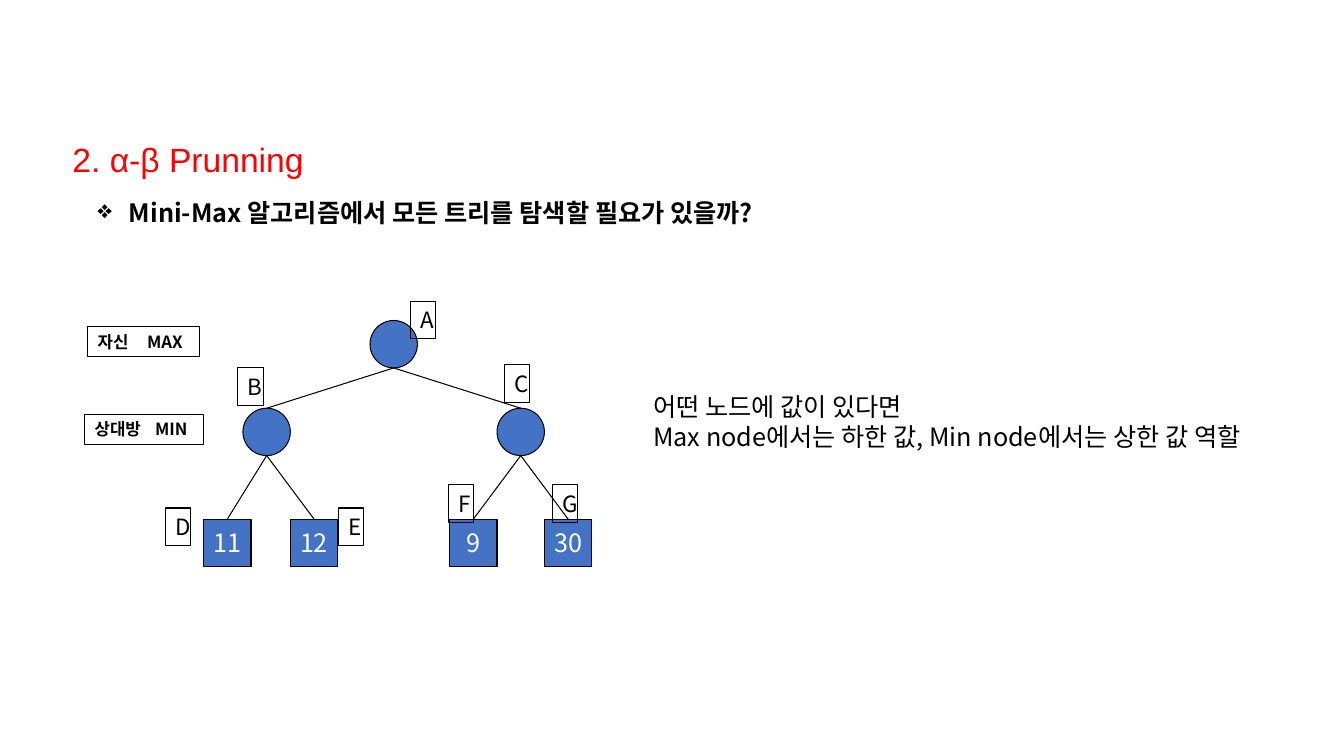
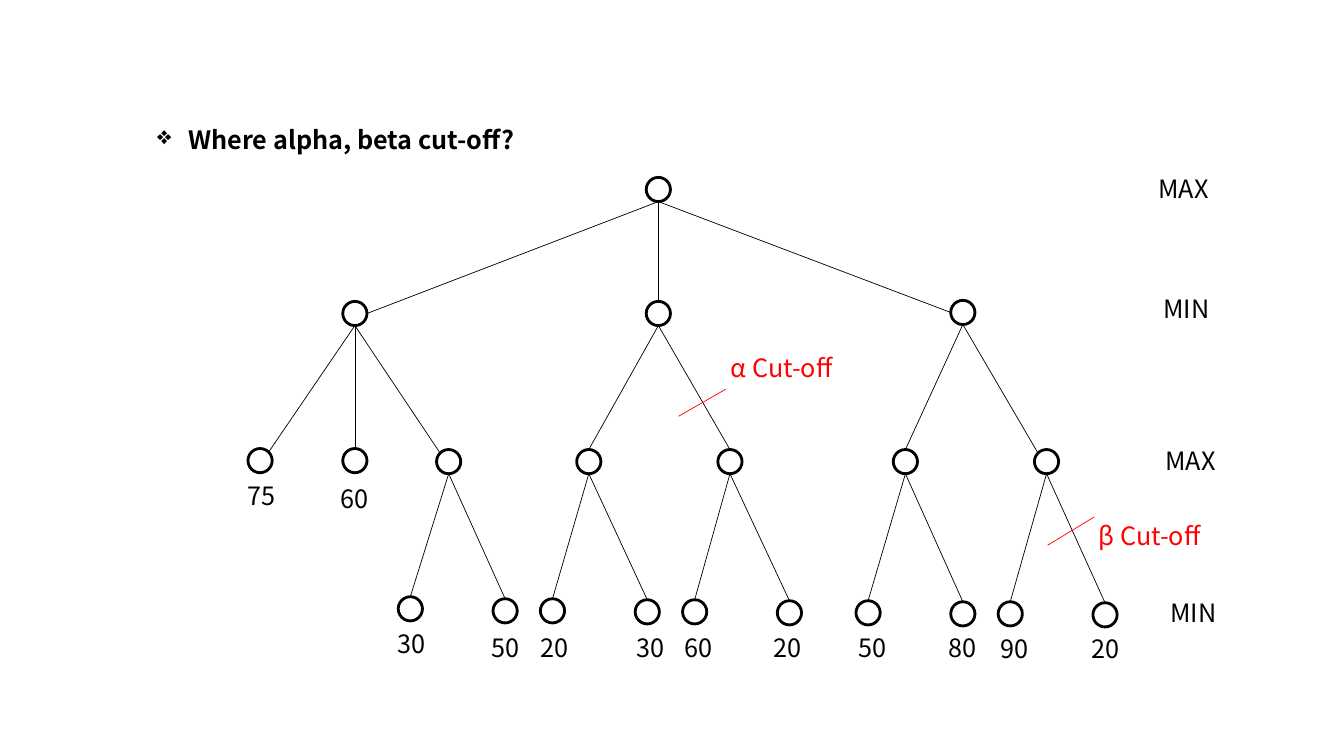
from dataclasses import dataclass

from lxml import etree
from pptx import Presentation
from pptx.dml.color import RGBColor
from pptx.enum.shapes import MSO_CONNECTOR, MSO_SHAPE
from pptx.enum.text import MSO_ANCHOR, MSO_AUTO_SIZE, PP_ALIGN
from pptx.oxml.ns import qn
from pptx.util import Inches, Pt

ELLIPSE, RECTANGLE = MSO_SHAPE.OVAL, MSO_SHAPE.RECTANGLE
STRAIGHT = MSO_CONNECTOR.STRAIGHT
LEFT, CENTER = PP_ALIGN.LEFT, PP_ALIGN.CENTER
TOP, MIDDLE = MSO_ANCHOR.TOP, MSO_ANCHOR.MIDDLE
GROW, FIXED = MSO_AUTO_SIZE.SHAPE_TO_FIT_TEXT, MSO_AUTO_SIZE.NONE

BODY_FONT, TITLE_FONT = "Noto Sans CJK KR", "Arial"
BLACK, WHITE, RED, BLUE = "000000", "FFFFFF", "FF0000", "4472C4"

GAME_NODE, SEARCH_NODE = 0.47, 0.24
LETTER_BOX = (0.25, 0.37)
TEXT_HEIGHT = 0.4

# Where an edge meets a node, as shares of the node's size
ENTRY = {"top": (0.5, 0), "left": (0, 0.5), "right": (1, 0.5),
         "upper left": (0.15, 0.15), "upper right": (0.85, 0.15)}


@dataclass
class Node:
    """A tree node with its caption, and a value if it is a boxed leaf."""
    left: float
    top: float
    caption: str = ""
    caption_at: tuple = ()
    children: tuple = ()
    entry: str = "top"
    value: str = ""


GAME_TREE = Node(3.67, 3.18, "A", (4.07, 2.99), (
    Node(2.41, 4.05, "B", (2.36, 3.65), (
        Node(2.02, 5.15, "D", (1.64, 5.04), value="11"),
        Node(2.88, 5.15, "E", (3.36, 5.04), value="12"))),
    Node(4.93, 4.05, "C", (5.0, 3.62), (
        Node(4.46, 5.15, "F", (4.45, 4.81), value="9"),
        Node(5.4, 5.15, "G", (5.48, 4.81), value="30")))))

SEARCH_TREE = Node(6.41, 1.76, children=(
    Node(3.4, 2.99, entry="right", children=(
        Node(2.46, 4.45, "75", (2.36, 4.72), entry="upper right"),
        Node(3.4, 4.45, "60", (3.28, 4.75)),
        Node(4.33, 4.46, entry="upper left", children=(
            Node(3.95, 5.92, "30", (3.84, 6.18)),
            Node(4.89, 5.94, "50", (4.78, 6.22)))))),
    Node(6.41, 2.99, children=(
        Node(5.72, 4.46, children=(
            Node(5.36, 5.94, "20", (5.26, 6.22)),
            Node(6.3, 5.95, "30", (6.21, 6.22)))),
        Node(7.12, 4.46, children=(
            Node(6.77, 5.95, "60", (6.69, 6.22)),
            Node(7.71, 5.96, "20", (7.57, 6.22)))))),
    Node(9.43, 2.98, entry="left", children=(
        Node(8.86, 4.46, children=(
            Node(8.49, 5.96, "50", (8.42, 6.22)),
            Node(9.43, 5.97, "80", (9.31, 6.22)))),
        Node(10.26, 4.46, entry="upper left", children=(
            Node(9.9, 5.97, "90", (9.82, 6.23)),
            Node(10.84, 5.98, "20", (10.73, 6.23))))))))

LEVELS = [("MAX", 11.39, 1.67), ("MIN", 11.44, 2.86),
          ("MAX", 11.46, 4.37), ("MIN", 11.51, 5.88)]

# Label, its place, and the two ends of the stroke across the edge
CUTS = [("α Cut-off", (7.15, 3.45), (6.73, 4.13), (7.2, 3.86)),
        ("β Cut-off", (10.8, 5.11), (10.39, 5.41), (10.85, 5.13))]


def rgb(color):
    return RGBColor.from_string(color)


def inches(*lengths):
    return [Inches(length) for length in lengths]


def write(frame, lines, size=18, color=BLACK, bold=False, font=BODY_FONT,
          align=LEFT, anchor=TOP, wrap=True, fit=GROW):
    """Fill a text frame, one paragraph a line, and return the paragraphs."""
    frame.word_wrap = wrap
    frame.auto_size = fit
    frame.vertical_anchor = anchor
    paragraphs = []
    for number, line in enumerate(lines):
        paragraph = frame.add_paragraph() if number else frame.paragraphs[0]
        paragraph.alignment = align
        run = paragraph.add_run()
        run.text = line
        run.font.size = Pt(size)
        run.font.bold = bold
        run.font.color.rgb = rgb(color)
        run.font.name = font
        east_asian = etree.SubElement(run.font._element, qn("a:ea"))
        east_asian.set("typeface", font)
        paragraphs.append(paragraph)
    return paragraphs


def add_text(shapes, box, *lines, **style):
    frame = shapes.add_textbox(*inches(*box)).text_frame
    return write(frame, lines, **style)


def indent(paragraph, margin, first_line=0):
    paragraph.level = 1
    properties = paragraph._p.get_or_add_pPr()
    properties.set("marL", str(Inches(margin)))
    properties.set("indent", str(Inches(first_line)))
    return properties


def add_question(shapes, left, top, question):
    """Bold bulleted line that opens a topic."""
    paragraph, = add_text(shapes, (left, top, 11.18, 0.5), question, bold=True)
    paragraph.line_spacing = 1.5
    properties = indent(paragraph, 0.81, -0.31)
    etree.SubElement(properties, qn("a:buChar")).set("char", "❖")


def add_outline(shapes, kind, box, width, fill=None):
    shape = shapes.add_shape(kind, *inches(*box))
    shape.shadow.inherit = False
    if fill:
        shape.fill.solid()
        shape.fill.fore_color.rgb = rgb(fill)
    else:
        shape.fill.background()
    shape.line.color.rgb = rgb(BLACK)
    shape.line.width = Pt(width)
    return shape


def add_line(shapes, start, end, width, color=BLACK):
    line = shapes.add_connector(STRAIGHT, *inches(*start, *end))
    line.line.color.rgb = rgb(color)
    line.line.width = Pt(width)
    etree.SubElement(line._element.spPr, qn("a:effectLst"))


def add_tree(shapes, node, size, edge_width, draw_node):
    """Draw a node, then its subtrees and the edges down to them."""
    draw_node(shapes, node)
    for child in node.children:
        add_tree(shapes, child, size, edge_width, draw_node)
        across, down = ENTRY[child.entry]
        add_line(shapes, (node.left + size / 2, node.top + size),
                 (child.left + across * size, child.top + down * size),
                 edge_width)


def draw_game_node(shapes, node):
    kind = RECTANGLE if node.value else ELLIPSE
    box = (node.left, node.top, GAME_NODE, GAME_NODE)
    shape = add_outline(shapes, kind, box, 0.75, BLUE)
    if node.value:
        write(shape.text_frame, [node.value], color=WHITE, align=CENTER,
              anchor=MIDDLE, wrap=False, fit=FIXED)
    letter = add_outline(shapes, RECTANGLE, (*node.caption_at, *LETTER_BOX), 0.75)
    write(letter.text_frame, [node.caption], size=16)


def draw_search_node(shapes, node):
    box = (node.left, node.top, SEARCH_NODE, SEARCH_NODE)
    add_outline(shapes, ELLIPSE, box, 2)
    if node.caption:
        add_text(shapes, (*node.caption_at, 0.51, TEXT_HEIGHT), node.caption)


def add_player(shapes, box, player, role, role_at):
    """Boxed level name, its role set at a tab stop."""
    shape = add_outline(shapes, RECTANGLE, box, 0.75)
    paragraph, = write(shape.text_frame, [f"{player}\t{role}"], size=12, bold=True)
    stops = etree.SubElement(paragraph._p.get_or_add_pPr(), qn("a:tabLst"))
    stop = etree.SubElement(stops, qn("a:tab"))
    stop.set("pos", str(Inches(role_at)))
    stop.set("algn", "l")


def build_pruning_slide(shapes):
    title, = add_text(shapes, (0.62, 1.13, 2.61, 0.63), "2. α-β Prunning",
                      size=24, color=RED, font=TITLE_FONT, wrap=False)
    title.line_spacing = 1.5
    add_question(shapes, 0.37, 1.76,
                 "Mini-Max 알고리즘에서 모든 트리를 탐색할 필요가 있을까?")
    add_tree(shapes, GAME_TREE, GAME_NODE, 0.75, draw_game_node)
    add_player(shapes, (0.87, 3.24, 1.11, 0.3), "자신", "MAX", 0.49)
    add_player(shapes, (0.84, 4.11, 1.18, 0.3), "상대방", "MIN", 0.6)
    for paragraph in add_text(shapes, (5.88, 3.83, 7.21, 0.71),
                              "어떤 노드에 값이 있다면",
                              "Max node에서는 하한 값, Min node에서는 상한 값 역할"):
        indent(paragraph, 0.5)


def build_cutoff_slide(shapes):
    add_tree(shapes.add_group_shape().shapes, SEARCH_TREE, SEARCH_NODE, 0.5,
             draw_search_node)
    add_question(shapes, 0.96, 1.03, "Where alpha, beta cut-off?")
    for level, left, top in LEVELS:
        add_text(shapes, (left, top, 1.01, TEXT_HEIGHT), level)
    for label, place, start, end in CUTS:
        add_line(shapes, start, end, 0.5, RED)
        add_text(shapes, (*place, 1.31, TEXT_HEIGHT), label, color=RED)


def main():
    deck = Presentation()
    deck.slide_width, deck.slide_height = inches(13.33, 7.5)
    blank = deck.slide_layouts[6]
    for build in (build_pruning_slide, build_cutoff_slide):
        build(deck.slides.add_slide(blank).shapes)
    deck.save("out.pptx")


if __name__ == "__main__":
    main()
